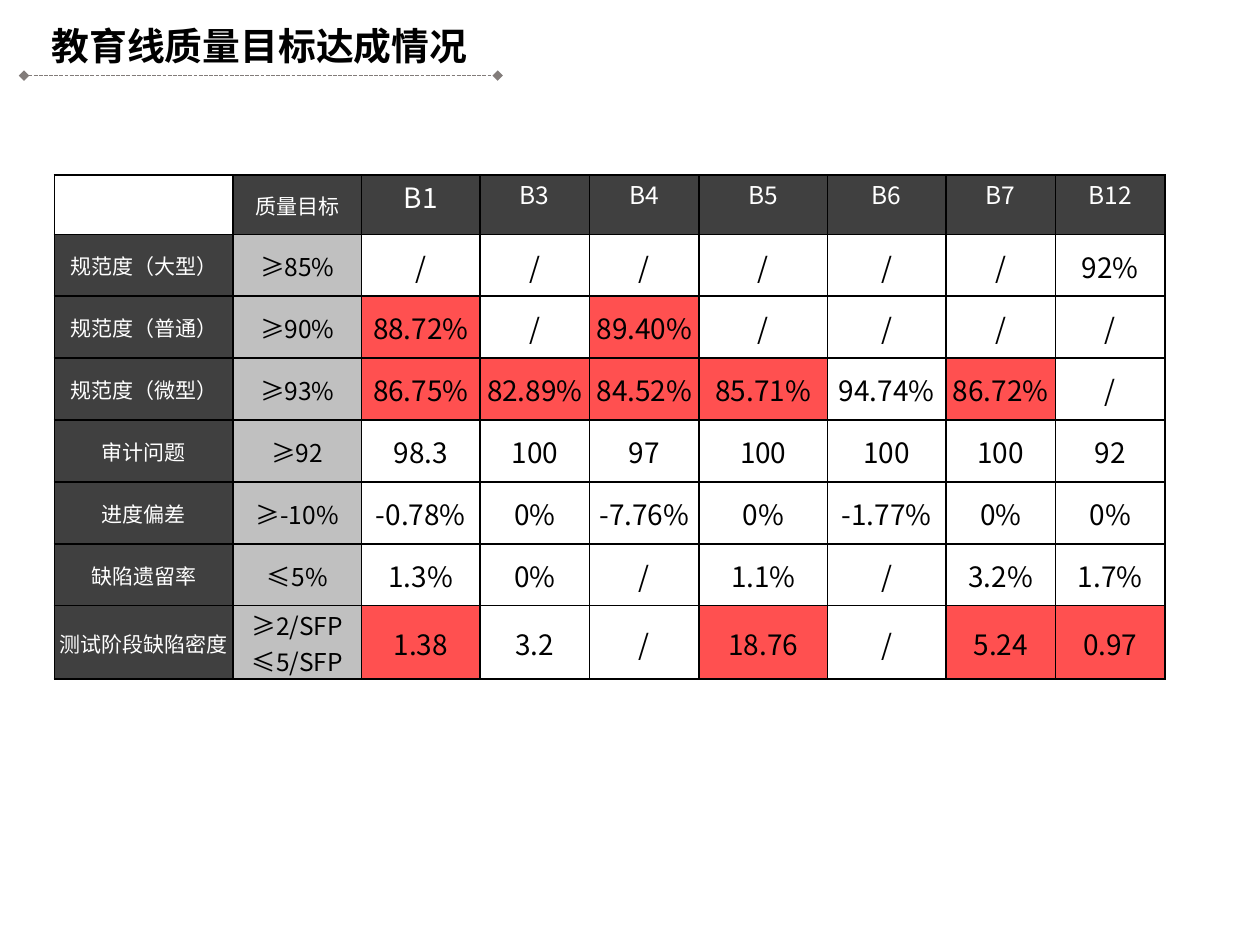
from dataclasses import dataclass
from math import inf
from typing import Any

from lxml.etree import SubElement
from pptx import Presentation
from pptx.dml.color import RGBColor as Rgb
from pptx.enum.dml import MSO_LINE as Dash
from pptx.enum.shapes import MSO_CONNECTOR as Link
from pptx.enum.text import MSO_ANCHOR as Anchor, MSO_AUTO_SIZE as Fit, PP_ALIGN as Align
from pptx.oxml.ns import qn
from pptx.util import Pt

FONT = "Noto Sans CJK SC"
HUES = {"ink": "000000", "paper": "FFFFFF", "dark": "404040",
        "goal": "C0C0C0", "miss": "FF5050", "rule": "827C7A"}
WIDTHS = [102.2, 73.4, 67.7, 62.6, 62.6, 73.4, 67.7, 62.6, 62.6]
HEIGHTS = [33.8] + [35.4] * 6 + [41.8]
TEAMS = ["B1", "B3", "B4", "B5", "B6", "B7", "B12"]


@dataclass
class Target:
    name: str
    goal: str
    marks: str
    low: float = -inf
    high: float = inf

    def missed(self, mark: str) -> bool:
        return mark != "/" and not self.low <= float(mark.rstrip("%")) <= self.high


@dataclass
class Look:
    fill: str
    ink: str
    size: float
    anchor: Any = Anchor.MIDDLE


TARGETS = [
    Target("规范度（大型）", "≥85%", "/ / / / / / 92%", low=85),
    Target("规范度（普通）", "≥90%", "88.72% / 89.40% / / / /", low=90),
    Target("规范度（微型）", "≥93%", "86.75% 82.89% 84.52% 85.71% 94.74% 86.72% /", low=93),
    Target("审计问题", "≥92", "98.3 100 97 100 100 100 92", low=92),
    Target("进度偏差", "≥-10%", "-0.78% 0% -7.76% 0% -1.77% 0% 0%", low=-10),
    Target("缺陷遗留率", "≤5%", "1.3% 0% / 1.1% / 3.2% 1.7%", high=5),
    Target("测试阶段缺陷密度", "≥2/SFP\n≤5/SFP", "1.38 3.2 / 18.76 / 5.24 0.97", low=2, high=5),
]
HEAD = Look("dark", "paper", 12)
GOAL = Look("goal", "ink", 14)
PASS = Look("paper", "ink", 16)
MISS = Look("miss", "ink", 16)


def apply(thing: Any, values: dict[str, Any]) -> None:
    for key, value in values.items():
        setattr(thing, key, value)


def write(frame: Any, text: str, size: float, ink: str, bold: bool = False) -> None:
    frame.text = text
    for para in frame.paragraphs:
        para.alignment = Align.CENTER
        for run in para.runs:
            apply(run.font, {"name": FONT, "size": Pt(size), "bold": bold})
            run.font.color.rgb = Rgb.from_string(HUES[ink])
            SubElement(run.font._element, qn("a:ea"), typeface=FONT)


def border(cell: Any) -> None:
    props = cell._tc.get_or_add_tcPr()
    for spot, side in enumerate(("lnL", "lnR", "lnT", "lnB")):
        line = props.makeelement(qn(f"a:{side}"), {"w": str(Pt(1))})
        fill = SubElement(line, qn("a:solidFill"))
        SubElement(fill, qn("a:srgbClr"), val=HUES["ink"])
        props.insert(spot, line)


def fill_cell(cell: Any, text: str, look: Look) -> None:
    apply(cell, {"margin_left": Pt(0.7), "margin_right": Pt(0.7), "margin_top": Pt(0.7),
                 "margin_bottom": Pt(0), "vertical_anchor": look.anchor})
    cell.fill.solid()
    cell.fill.fore_color.rgb = Rgb.from_string(HUES[look.fill])
    border(cell)
    if text:
        write(cell.text_frame, text, look.size, look.ink)


def draw_title(slide: Any) -> None:
    title = slide.shapes.title
    apply(title, {"left": Pt(12.2), "top": Pt(9.4), "width": Pt(272.2), "height": Pt(33.1)})
    apply(title.text_frame, {"word_wrap": True, "auto_size": Fit.SHAPE_TO_FIT_TEXT,
                             "vertical_anchor": Anchor.MIDDLE})
    write(title.text_frame, "教育线质量目标达成情况", 21.6, "ink", True)


def draw_rule(slide: Any) -> None:
    rule = slide.shapes.add_connector(Link.STRAIGHT, Pt(13.7), Pt(43.2), Pt(284.4), Pt(43.2))
    apply(rule.line, {"width": Pt(0.75), "dash_style": Dash.SQUARE_DOT})
    rule.line.color.rgb = Rgb.from_string(HUES["rule"])
    props = rule._element.spPr
    for end in ("headEnd", "tailEnd"):
        SubElement(props.find(qn("a:ln")), qn(f"a:{end}"), type="diamond")
    SubElement(props, qn("a:effectLst"))


def draw_table(slide: Any) -> None:
    table = slide.shapes.add_table(len(HEIGHTS), len(WIDTHS), Pt(31), Pt(100.1),
                                   Pt(sum(WIDTHS)), Pt(sum(HEIGHTS))).table
    apply(table, {"first_row": False, "horz_banding": False})
    for col, width in zip(table.columns, WIDTHS):
        col.width = Pt(width)
    for row, height in zip(table.rows, HEIGHTS):
        row.height = Pt(height)
    grid = [[("", PASS), ("质量目标", HEAD)]
            + [(team, Look("dark", "paper", 16 if team == "B1" else 14, Anchor.TOP))
               for team in TEAMS]]
    for goal in TARGETS:
        marks = [(mark, MISS if goal.missed(mark) else PASS) for mark in goal.marks.split()]
        grid.append([(goal.name, HEAD), (goal.goal, GOAL)] + marks)
    for row, items in zip(table.rows, grid):
        for cell, (text, look) in zip(row.cells, items):
            fill_cell(cell, text, look)


def main() -> None:
    deck = Presentation()
    apply(deck, {"slide_width": Pt(720), "slide_height": Pt(540)})
    slide = deck.slides.add_slide(deck.slide_layouts[5])
    draw_rule(slide)
    draw_title(slide)
    draw_table(slide)
    deck.save("out.pptx")


if __name__ == "__main__":
    main()
